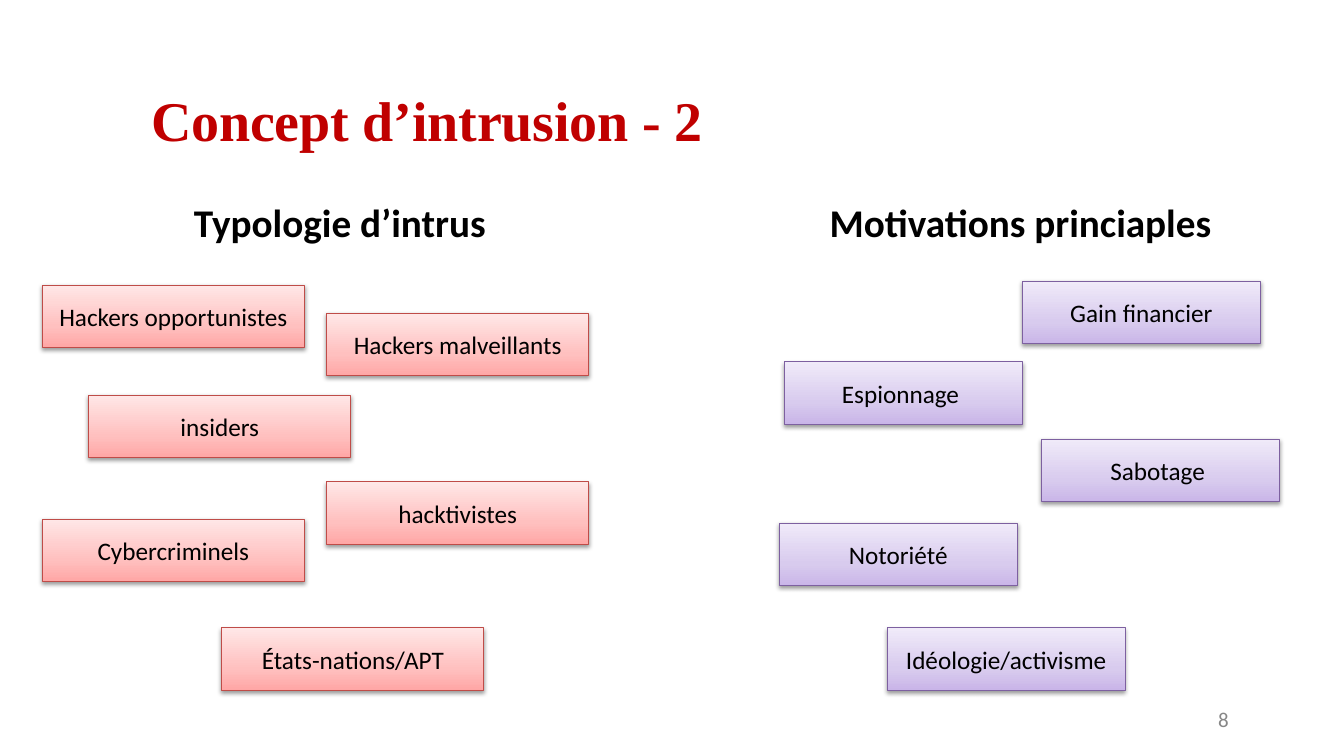
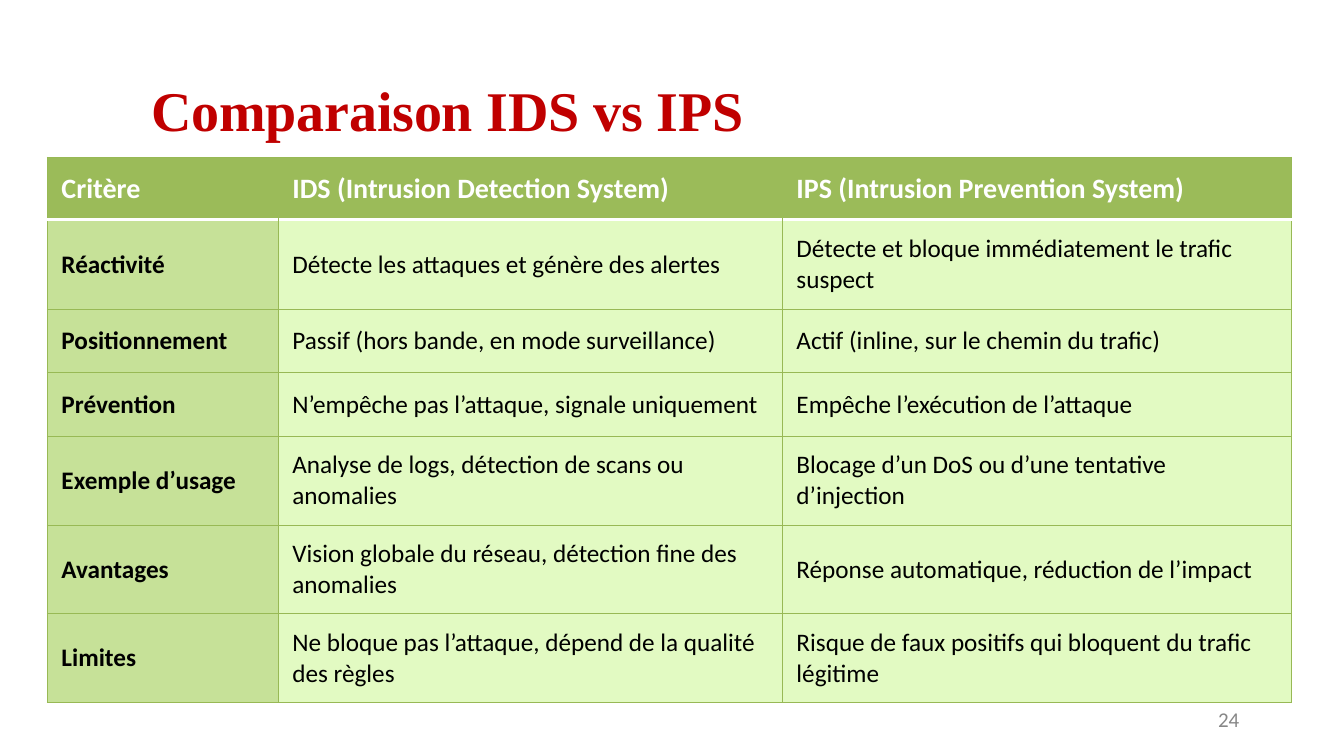
from dataclasses import dataclass

from lxml import etree
from pptx import Presentation
from pptx.dml.color import RGBColor
from pptx.enum.shapes import MSO_SHAPE
from pptx.enum.text import MSO_ANCHOR, MSO_AUTO_SIZE, PP_ALIGN
from pptx.oxml import parse_xml
from pptx.oxml.ns import nsdecls, qn
from pptx.util import Inches, Pt

RECTANGLE = MSO_SHAPE.RECTANGLE
MIDDLE = MSO_ANCHOR.MIDDLE
FIT_TEXT = MSO_AUTO_SIZE.SHAPE_TO_FIT_TEXT
LEFT = PP_ALIGN.LEFT
CENTER = PP_ALIGN.CENTER


@dataclass(frozen=True)
class TextStyle:
    size: float
    color: str
    bold: bool = False
    font: str = "Calibri"
    spacing: float = 0


@dataclass(frozen=True)
class CardStyle:
    stops: tuple[tuple[int, str], ...]
    outline: str
    width: float


@dataclass(frozen=True)
class Theme:
    title: TextStyle = TextStyle(40, "C00000", True, "Times New Roman", -0.1)
    heading: TextStyle = TextStyle(28, "000000", True)
    body: TextStyle = TextStyle(18, "000000")
    criterion: TextStyle = TextStyle(18, "000000", True)
    table_header: TextStyle = TextStyle(20, "FFFFFF", True)
    page_number: TextStyle = TextStyle(15, "878787")
    intruder: CardStyle = CardStyle(
        ((0, "FFA6A5"), (35, "FFC0BF"), (100, "FFE7E7")), "BF4C48", 2.6)
    motive: CardStyle = CardStyle(
        ((0, "C9B5E8"), (35, "D8CBEE"), (100, "F0EAF9")), "7D60A0", 2.36)
    header_fill: str = "9BBB59"
    criterion_fill: str = "C6E198"
    cell_fill: str = "E2FAC2"
    grid: str = "98B955"
    header_rule: str = "FFFFFF"
    thin: float = 0.75
    thick: float = 2


@dataclass(frozen=True)
class Card:
    left: float
    top: float
    text: str


THEME = Theme()
CARD_HEIGHT = 0.62

INTRUDERS = (
    Card(0.42, 2.83, "Hackers opportunistes"),
    Card(3.24, 3.11, "Hackers malveillants"),
    Card(0.88, 3.92, "insiders"),
    Card(3.24, 4.78, "hacktivistes"),
    Card(0.42, 5.15, "Cybercriminels"),
    Card(2.2, 6.23, "États-nations/APT"),
)
MOTIVES = (
    Card(10.14, 2.79, "Gain financier"),
    Card(7.78, 3.59, "Espionnage "),
    Card(10.33, 4.36, "Sabotage "),
    Card(7.73, 5.19, "Notoriété"),
    Card(8.8, 6.23, "Idéologie/activisme"),
)
COMPARISON = (
    ("Critère", "IDS (Intrusion Detection System)",
     "IPS (Intrusion Prevention System)"),
    ("Réactivité", "Détecte les attaques et génère des alertes",
     "Détecte et bloque immédiatement le trafic suspect"),
    ("Positionnement", "Passif (hors bande, en mode surveillance)",
     "Actif (inline, sur le chemin du trafic)"),
    ("Prévention", "N’empêche pas l’attaque, signale uniquement",
     "Empêche l’exécution de l’attaque"),
    ("Exemple d’usage", "Analyse de logs, détection de scans ou anomalies",
     "Blocage d’un DoS ou d’une tentative d’injection"),
    ("Avantages", "Vision globale du réseau, détection fine des anomalies",
     "Réponse automatique, réduction de l’impact"),
    ("Limites", "Ne bloque pas l’attaque, dépend de la qualité des règles",
     "Risque de faux positifs qui bloquent du trafic légitime"),
)
COLUMN_WIDTHS = (2.29, 5, 5.05)
ROW_HEIGHTS = (0.62, 0.89, 0.63, 0.63, 0.88, 0.88, 0.88)


def write(frame, text: str, style: TextStyle, align=LEFT):
    para = frame.paragraphs[0]
    para.alignment = align
    span = para.add_run()
    span.text = text
    font = span.font
    font.name = style.font
    font.size = Pt(style.size)
    font.bold = style.bold
    font.color.rgb = RGBColor.from_string(style.color)
    if style.spacing:
        span._r.get_or_add_rPr().set("spc", str(round(style.spacing * 100)))
    return para


def set_insets(item, horizontal: float, vertical: float) -> None:
    item.margin_left = item.margin_right = Inches(horizontal)
    item.margin_top = item.margin_bottom = Inches(vertical)


def add_text(page, left: float, top: float, width: float, height: float,
             text: str, style: TextStyle, align=LEFT,
             insets: tuple[float, float] = (0, 0)):
    box = page.shapes.add_textbox(
        Inches(left), Inches(top), Inches(width), Inches(height))
    frame = box.text_frame
    frame.word_wrap = True
    frame.auto_size = FIT_TEXT
    set_insets(frame, *insets)
    return write(frame, text, style, align)


def add_page(deck, title: str, title_top: float, number: int):
    page = deck.slides.add_slide(deck.slide_layouts[6])
    add_text(page, 1.5, title_top, 8, 0.69, title, THEME.title)
    para = add_text(page, 12.04, 7.05, 0.29, 0.24, str(number),
                    THEME.page_number)
    para.line_spacing = Pt(15.2)
    para._p.get_or_add_pPr().set("marL", str(Inches(0.04)))
    return page


def add_card(page, card: Card, style: CardStyle) -> None:
    shape = page.shapes.add_shape(
        RECTANGLE, Inches(card.left), Inches(card.top),
        Inches(style.width), Inches(CARD_HEIGHT))
    stops = "".join(
        f'<a:gs pos="{place * 1000}"><a:srgbClr val="{color}"/></a:gs>'
        for place, color in style.stops)
    properties = shape._element.spPr
    properties.find(qn("a:prstGeom")).addnext(parse_xml(
        f'<a:gradFill {nsdecls("a")} rotWithShape="1"><a:gsLst>{stops}'
        '</a:gsLst><a:lin ang="16200000" scaled="0"/></a:gradFill>'))
    shape.line.color.rgb = RGBColor.from_string(style.outline)
    shape.line.width = Pt(THEME.thin)
    shape.shadow.inherit = False
    properties.find(qn("a:effectLst")).append(parse_xml(
        f'<a:outerShdw {nsdecls("a")} blurRad="{Pt(3.1)}" dist="{Pt(1.6)}" '
        'dir="5400000" rotWithShape="0"><a:srgbClr val="000000">'
        '<a:alpha val="38000"/></a:srgbClr></a:outerShdw>'))
    frame = shape.text_frame
    frame.word_wrap = True
    frame.vertical_anchor = MIDDLE
    write(frame, card.text, THEME.body, CENTER)


def add_group(page, heading: str, left: float, cards: tuple[Card, ...],
              style: CardStyle) -> None:
    add_text(page, left, 1.92, 4.08, 0.57, heading, THEME.heading, CENTER,
             (0.1, 0.05))
    for card in cards:
        add_card(page, card, style)


def set_borders(cell, row: int, column: int) -> None:
    grid = (THEME.grid, THEME.thin)
    rule = (THEME.header_rule, THEME.thick)
    header = row == 0
    last_column = len(COLUMN_WIDTHS) - 1
    borders = {
        "lnL": None if header and column > 0 else grid,
        "lnR": None if header and column < last_column else grid,
        "lnT": rule if row == 1 else grid,
        "lnB": rule if header else grid,
    }
    properties = cell._tc.get_or_add_tcPr()
    for index, (side, border) in enumerate(borders.items()):
        line = etree.Element(qn(f"a:{side}"))
        if border is None:
            etree.SubElement(line, qn("a:noFill"))
        else:
            color, width = border
            line.set("w", str(Pt(width)))
            fill = etree.SubElement(line, qn("a:solidFill"))
            etree.SubElement(fill, qn("a:srgbClr"), val=color)
        properties.insert(index, line)


def cell_look(row: int, column: int) -> tuple[TextStyle, str]:
    if row == 0:
        return THEME.table_header, THEME.header_fill
    if column == 0:
        return THEME.criterion, THEME.criterion_fill
    return THEME.body, THEME.cell_fill


def add_comparison(page) -> None:
    table = page.shapes.add_table(
        len(ROW_HEIGHTS), len(COLUMN_WIDTHS), Inches(0.47), Inches(1.56),
        Inches(sum(COLUMN_WIDTHS)), Inches(sum(ROW_HEIGHTS))).table
    table.horz_banding = False
    for column, width in zip(table.columns, COLUMN_WIDTHS):
        column.width = Inches(width)
    for row, height in zip(table.rows, ROW_HEIGHTS):
        row.height = Inches(height)
    for row, texts in enumerate(COMPARISON):
        for column, text in enumerate(texts):
            cell = table.cell(row, column)
            style, fill = cell_look(row, column)
            cell.fill.solid()
            cell.fill.fore_color.rgb = RGBColor.from_string(fill)
            cell.vertical_anchor = MIDDLE
            set_insets(cell, 0.14, 0.04)
            set_borders(cell, row, column)
            write(cell.text_frame, text, style)


def main() -> None:
    deck = Presentation()
    deck.slide_width = Inches(13.33)
    deck.slide_height = Inches(7.5)

    intrusion = add_page(deck, "Concept d’intrusion - 2", 0.85, 8)
    add_group(intrusion, "Typologie d’intrus", 1.33, INTRUDERS, THEME.intruder)
    add_group(intrusion, "Motivations princiaples", 8.08, MOTIVES, THEME.motive)

    comparison = add_page(deck, "Comparaison IDS vs IPS", 0.75, 24)
    add_comparison(comparison)

    deck.save("out.pptx")


if __name__ == "__main__":
    main()
